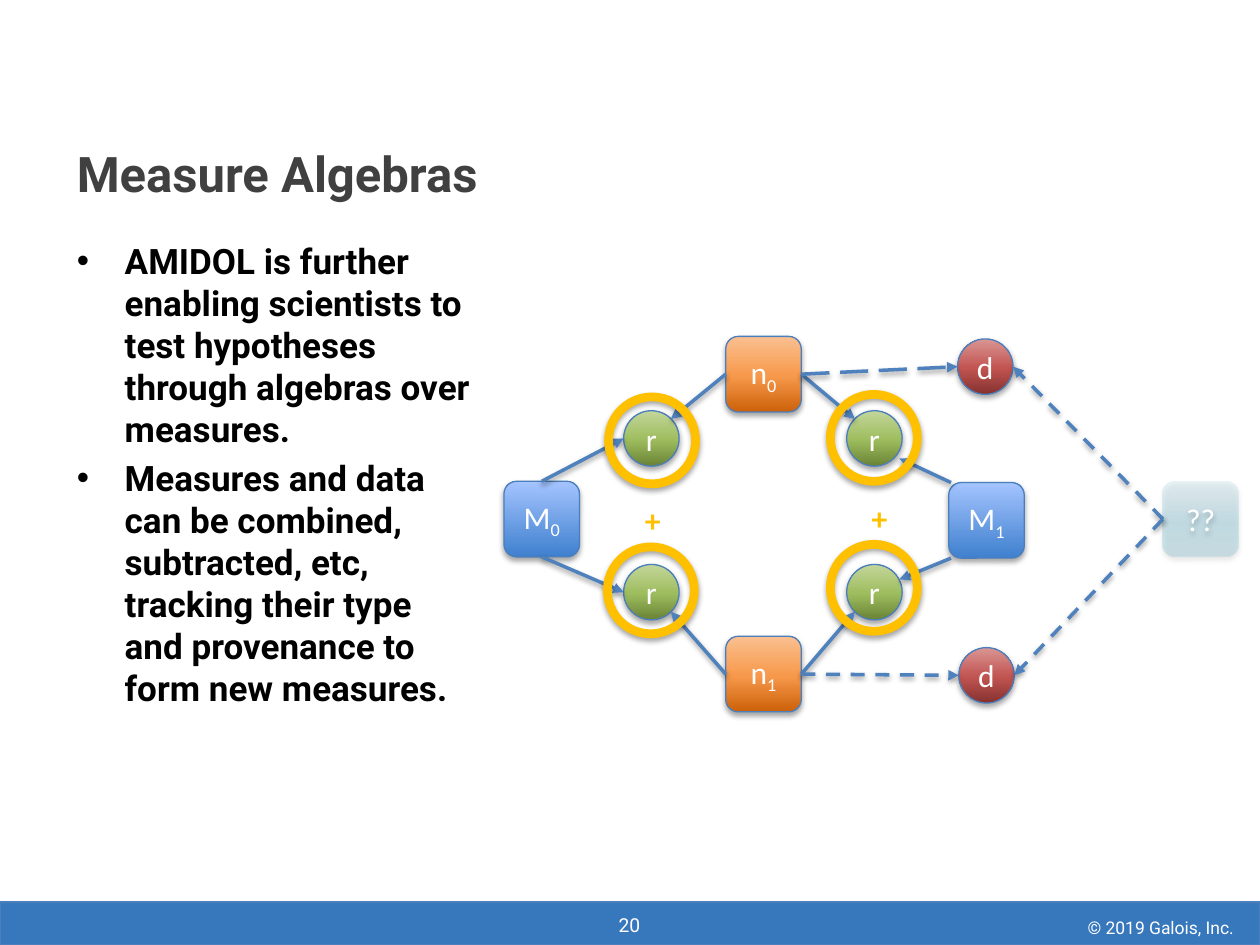
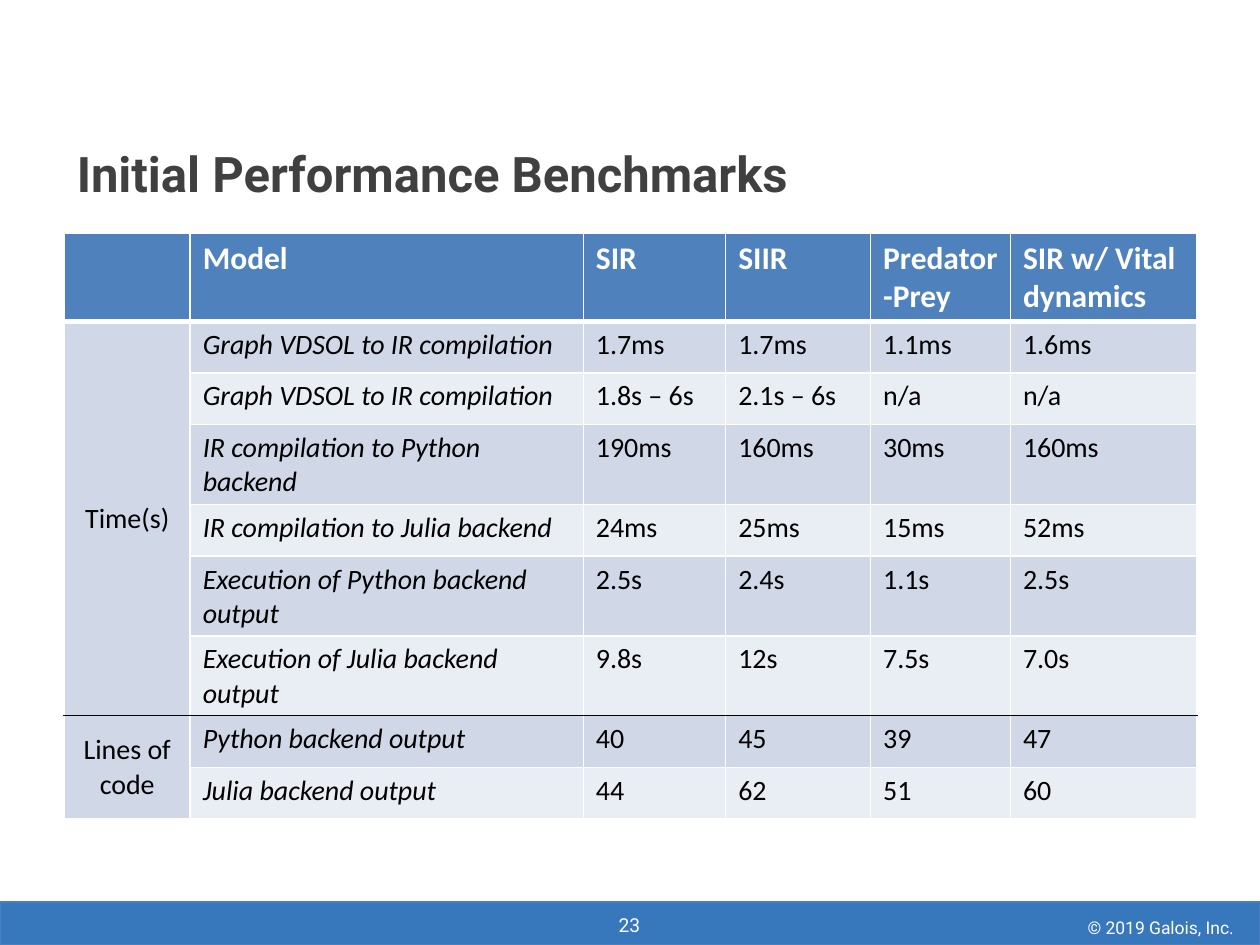
"""Build the two slides on measure algebras and performance benchmarks."""
import lxml.etree
import pptx
import pptx.dml.color
import pptx.enum.dml
import pptx.enum.shapes
import pptx.enum.text
import pptx.oxml.ns
import pptx.util

Inches = pptx.util.Inches
Pt = pptx.util.Pt
RGBColor = pptx.dml.color.RGBColor
Align = pptx.enum.text.PP_ALIGN
Anchor = pptx.enum.text.MSO_ANCHOR
Shape = pptx.enum.shapes.MSO_SHAPE
Dash = pptx.enum.dml.MSO_LINE
qn = pptx.oxml.ns.qn

WHITE = RGBColor(0xFF, 0xFF, 0xFF)
BLACK = RGBColor(0, 0, 0)
GREY = RGBColor(0x40, 0x40, 0x40)
BAND = RGBColor(0x37, 0x77, 0xBC)
EDGE = RGBColor(0x4B, 0x7E, 0xBC)
BLUE = RGBColor(0x4F, 0x81, 0xBD)
GOLD = RGBColor(0xFF, 0xC0, 0x00)
DARK_ROW = RGBColor(0xD0, 0xD8, 0xE8)
LIGHT_ROW = RGBColor(0xE9, 0xED, 0xF4)

AZURE = [(0, RGBColor(0x3F, 0x80, 0xCE), 100), (100, RGBColor(0xA4, 0xC4, 0xFF), 100)]
ORANGE = [(0, RGBColor(0xCC, 0x61, 0x09), 100), (48, RGBColor(0xF7, 0x99, 0x4C), 100),
          (100, RGBColor(0xFA, 0xC0, 0x90), 100)]
GREEN = [(0, RGBColor(0x6A, 0x83, 0x36), 100), (48, RGBColor(0x9E, 0xBD, 0x5E), 100),
         (100, RGBColor(0xC3, 0xD6, 0x9B), 100)]
RED = [(0, RGBColor(0x85, 0x31, 0x2F), 100), (48, RGBColor(0xC2, 0x55, 0x52), 100),
       (100, RGBColor(0xD9, 0x96, 0x94), 100)]
FAINT = [(0, RGBColor(0x74, 0xBF, 0xD3), 28), (48, RGBColor(0x50, 0xAE, 0xC8), 26),
         (100, RGBColor(0x93, 0xCD, 0xDD), 18)]

HEAD = "Roboto"
BODY = "Calibri"

TOP, BASE, LEFT, RIGHT = (0.5, 0), (0.5, 1), (0, 0.5), (1, 0.5)
NW, NE, SW, SE = (0.15, 0.15), (0.85, 0.15), (0.15, 0.85), (0.85, 0.85)


def put(parent, tag, **atts):
    return lxml.etree.SubElement(parent, qn(tag), {k: str(v) for k, v in atts.items()})


def tint(parent, color, alpha=100):
    node = put(parent, "a:srgbClr", val=color)
    if alpha < 100:
        put(node, "a:alpha", val=alpha * 1000)


def shade(effects, alpha=35, dist=23000):
    node = put(effects, "a:outerShdw", blurRad=40000, dist=dist, dir=5400000, rotWithShape=0)
    tint(node, BLACK, alpha)


def say(frame, text, size=18, font=BODY, color=WHITE, bold=False, slant=False,
        align=Align.LEFT, sub="", bullet=False, before=0):
    para = frame.add_paragraph() if frame.text else frame.paragraphs[0]
    para.alignment = align
    para.space_before = Pt(before)
    if bullet:
        props = para._p.get_or_add_pPr()
        props.set("marL", str(Inches(0.38)))
        props.set("indent", str(-Inches(0.38)))
        put(props, "a:buFont", typeface="Arial")
        put(props, "a:buChar", char="•")
    for part in filter(None, (text, sub)):
        run = para.add_run()
        run.text = part
        run.font.size = Pt(size)
        run.font.name = font
        run.font.color.rgb = color
        run.font.bold = bold
        run.font.italic = slant
    if sub:
        run.font._element.set("baseline", "-25000")


class Deck:
    def __init__(self):
        self.show = pptx.Presentation()
        self.show.slide_width = Inches(10)
        self.show.slide_height = Inches(7.5)
        self.slide = None

    def page(self, title, number, layout):
        self.slide = self.show.slides.add_slide(self.show.slide_layouts[layout])
        self.shape(Shape.RECTANGLE, 0, 7.16, 10, 0.34, fill=BAND)
        self.label("© 2019 Galois, Inc.", 7.21, 7.23, 2.68, 0.27,
                   size=10, font=HEAD, align=Align.RIGHT)
        self.label(number, 4.65, 7.2, 0.69, 0.29, size=11, font=HEAD, align=Align.CENTER)
        frame = self.place(self.slide.shapes.title, 0.51, 1.15, 8.99, 0.44)
        frame.vertical_anchor = Anchor.MIDDLE
        say(frame, title, size=28, font=HEAD, color=GREY, bold=True)

    def place(self, holder, x, y, w, h):
        holder.left, holder.top = Inches(x), Inches(y)
        holder.width, holder.height = Inches(w), Inches(h)
        holder.text_frame.auto_size = pptx.enum.text.MSO_AUTO_SIZE.NONE
        return holder.text_frame

    def bullets(self, items, x, y, w, h):
        frame = self.place(self.slide.placeholders[1], x, y, w, h)
        for i, item in enumerate(items):
            say(frame, item, size=20, font=HEAD, color=BLACK, bold=True,
                bullet=True, before=4 if i else 0)

    def label(self, text, x, y, w, h, wrap=True, **style):
        box = self.slide.shapes.add_textbox(Inches(x), Inches(y), Inches(w), Inches(h))
        box.text_frame.word_wrap = wrap
        say(box.text_frame, text, **style)

    def shape(self, kind, x, y, w, h, fill=None, line=EDGE, width=0.75):
        item = self.slide.shapes.add_shape(kind, Inches(x), Inches(y), Inches(w), Inches(h))
        item.shadow.inherit = False
        shade(item._element.spPr.find(qn("a:effectLst")))
        if fill is None:
            item.fill.background()
        elif isinstance(fill, RGBColor):
            item.fill.solid()
            item.fill.fore_color.rgb = fill
        else:
            self.blend(item, fill)
        if line is None:
            item.line.fill.background()
        else:
            item.line.color.rgb = line
            item.line.width = Pt(width)
        return item

    def blend(self, item, stops):
        item.fill.gradient()
        grad = item._element.spPr.find(qn("a:gradFill"))
        for child in list(grad):
            grad.remove(child)
        group = put(grad, "a:gsLst")
        for place, color, alpha in stops:
            tint(put(group, "a:gs", pos=place * 1000), color, alpha)
        put(grad, "a:lin", ang=16200000, scaled=0)

    def node(self, text, x, y, fill, sub="", round=False, line=EDGE):
        kind, size = (Shape.OVAL, 0.44) if round else (Shape.ROUNDED_RECTANGLE, 0.6)
        item = self.shape(kind, x, y, size, size, fill, line)
        frame = item.text_frame
        frame.word_wrap = False
        frame.margin_left = frame.margin_right = 0
        frame.vertical_anchor = Anchor.MIDDLE
        say(frame, text, sub=sub, align=Align.CENTER)
        return item

    def link(self, start, out, end, into, dash=None):
        ends = [int(near + span * part)
                for item, spot in ((start, out), (end, into))
                for near, span, part in ((item.left, item.width, spot[0]),
                                         (item.top, item.height, spot[1]))]
        line = self.slide.shapes.add_connector(pptx.enum.shapes.MSO_CONNECTOR.STRAIGHT, *ends)
        line.line.color.rgb = BLUE
        line.line.width = Pt(2)
        if dash:
            line.line.dash_style = dash
        props = line._element.spPr
        put(props.find(qn("a:ln")), "a:tailEnd", type="triangle")
        shade(put(props, "a:effectLst"), 38, 20000)

    def table(self, rows, widths, x, y, high, groups):
        frame = self.slide.shapes.add_table(len(rows), len(widths), Inches(x), Inches(y),
                                            Inches(sum(widths)), Inches(high * len(rows)))
        grid = frame.table
        for col, width in zip(grid.columns, widths):
            col.width = Inches(width)
        for first, last in groups:
            grid.cell(first, 0).merge(grid.cell(last, 0))
        split = groups[0][1]
        for r, row in enumerate(rows):
            for c, text in enumerate(row):
                cell = grid.cell(r, c)
                if cell.is_spanned:
                    continue
                above = (BLACK, 1) if r == split + 1 else (WHITE, 3 if r == 1 else 1)
                ends = r + cell.span_height - 1
                below = (BLACK, 1) if ends == split else (WHITE, 1 if r else 3)
                self.border(cell, L=(WHITE, 1), R=(WHITE, 1), T=above, B=below)
                cell.fill.solid()
                cell.fill.fore_color.rgb = (
                    BLUE if r == 0 else DARK_ROW if c == 0 or r % 2 else LIGHT_ROW)
                if r == 0:
                    style = dict(bold=True)
                else:
                    style = dict(size=16, color=BLACK, slant=c == 1)
                    if c == 0:
                        style["align"] = Align.CENTER
                        cell.vertical_anchor = Anchor.MIDDLE
                if text:
                    say(cell.text_frame, text, **style)

    def border(self, cell, **sides):
        props = cell._tc.get_or_add_tcPr()
        for side, (color, width) in sides.items():
            line = put(props, "a:ln" + side, w=Pt(width))
            tint(put(line, "a:solidFill"), color)


def draw_graph(deck):
    deck.page("Measure Algebras", "20", 1)
    deck.bullets([
        "AMIDOL is further enabling scientists to test hypotheses through algebras over measures.",
        "Measures and data can be combined, subtracted, etc, tracking their type "
        "and provenance to form new measures.",
    ], 0.51, 1.85, 3.35, 4.84)
    m0 = deck.node("M", 4, 3.82, AZURE, "0")
    m1 = deck.node("M", 7.53, 3.83, AZURE, "1")
    guess = deck.node("??", 9.23, 3.82, FAINT, line=None)
    n0, n1 = [deck.node("n", 5.76, y, ORANGE, sub) for y, sub in ((2.67, "0"), (5.05, "1"))]
    r0, r1, r2, r3 = [deck.node("r", x, y, GREEN, round=True)
                      for y in (3.26, 4.48) for x in (4.95, 6.72)]
    d0, d1 = [deck.node("d", x, y, RED, round=True) for x, y in ((7.6, 2.69), (7.61, 5.14))]
    for start, out, end, into in (
            (m0, TOP, r0, LEFT), (m0, BASE, r2, LEFT),
            (m1, (0.03, 0), r1, (0.95, 0.86)), (m1, (0.03, 1), r3, (0.95, 0.27)),
            (n0, LEFT, r0, NE), (n0, RIGHT, r1, NW),
            (n1, RIGHT, r3, SW), (n1, LEFT, r2, SE)):
        deck.link(start, out, end, into)
    deck.link(n0, RIGHT, d0, LEFT, Dash.LONG_DASH)
    deck.link(n1, RIGHT, d1, LEFT, Dash.DASH)
    for end in (d0, d1):
        deck.link(guess, LEFT, end, RIGHT, Dash.DASH)
    for x, y in ((4.83, 3.15), (4.82, 4.34), (6.59, 3.13), (6.59, 4.32)):
        deck.shape(Shape.OVAL, x, y, 0.69, 0.69, line=GOLD, width=5)
    for x, y in ((5.02, 3.93), (6.82, 3.91)):
        deck.label("+", x, y, 0.33, 0.4, wrap=False, color=GOLD, bold=True)


def draw_times(deck):
    deck.page("Initial Performance Benchmarks", "23", 5)
    rows = [
        ("", "Model", "SIR", "SIIR", "Predator-Prey", "SIR w/ Vital dynamics"),
        ("Time(s)", "Graph VDSOL to IR compilation", "1.7ms", "1.7ms", "1.1ms", "1.6ms"),
        ("", "Graph VDSOL to IR compilation", "1.8s – 6s", "2.1s – 6s", "n/a", "n/a"),
        ("", "IR compilation to Python backend", "190ms", "160ms", "30ms", "160ms"),
        ("", "IR compilation to Julia backend", "24ms", "25ms", "15ms", "52ms"),
        ("", "Execution of Python backend output", "2.5s", "2.4s", "1.1s", "2.5s"),
        ("", "Execution of Julia backend output", "9.8s", "12s", "7.5s", "7.0s"),
        ("Lines of code", "Python backend output", "40", "45", "39", "47"),
        ("", "Julia backend output", "44", "62", "51", "60"),
    ]
    deck.table(rows, (1, 3.12, 1.13, 1.15, 1.11, 1.48), 0.51, 1.85, 0.41, ((1, 6), (7, 8)))


def main():
    deck = Deck()
    draw_graph(deck)
    draw_times(deck)
    deck.show.save("out.pptx")


if __name__ == "__main__":
    main()
